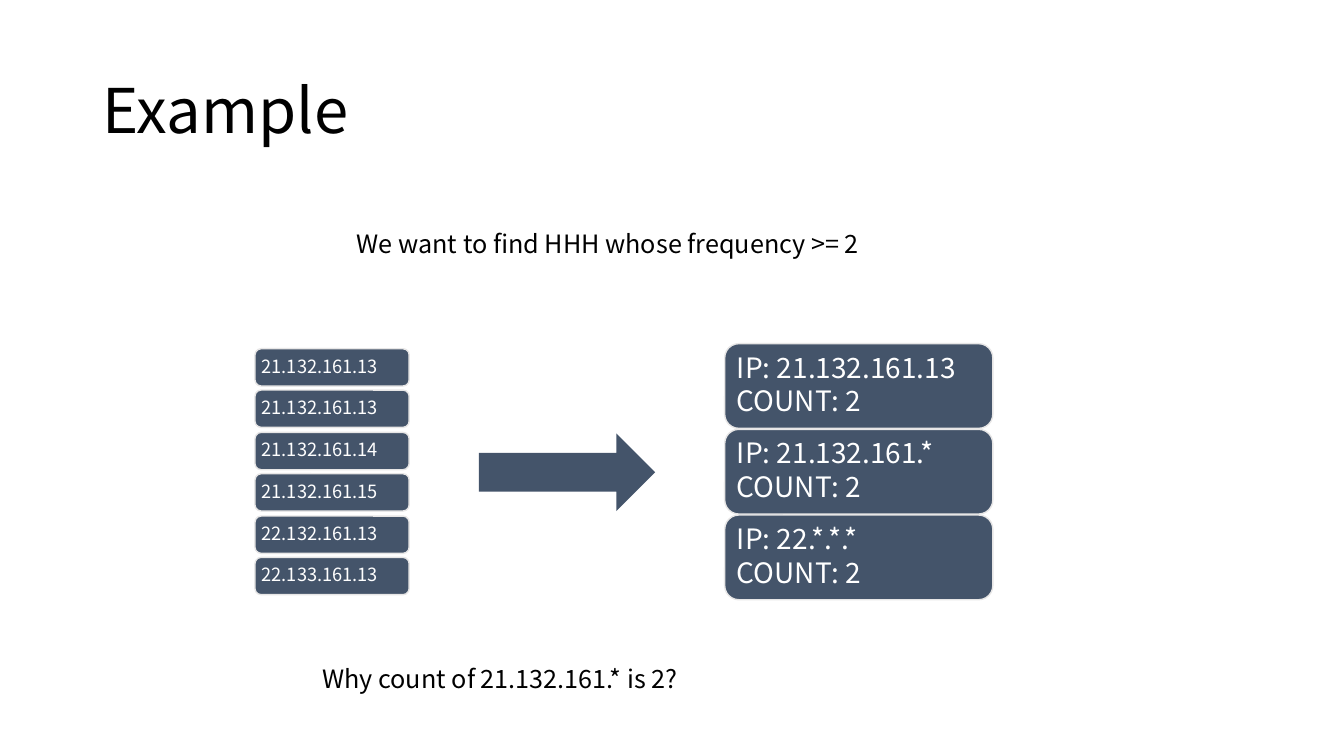
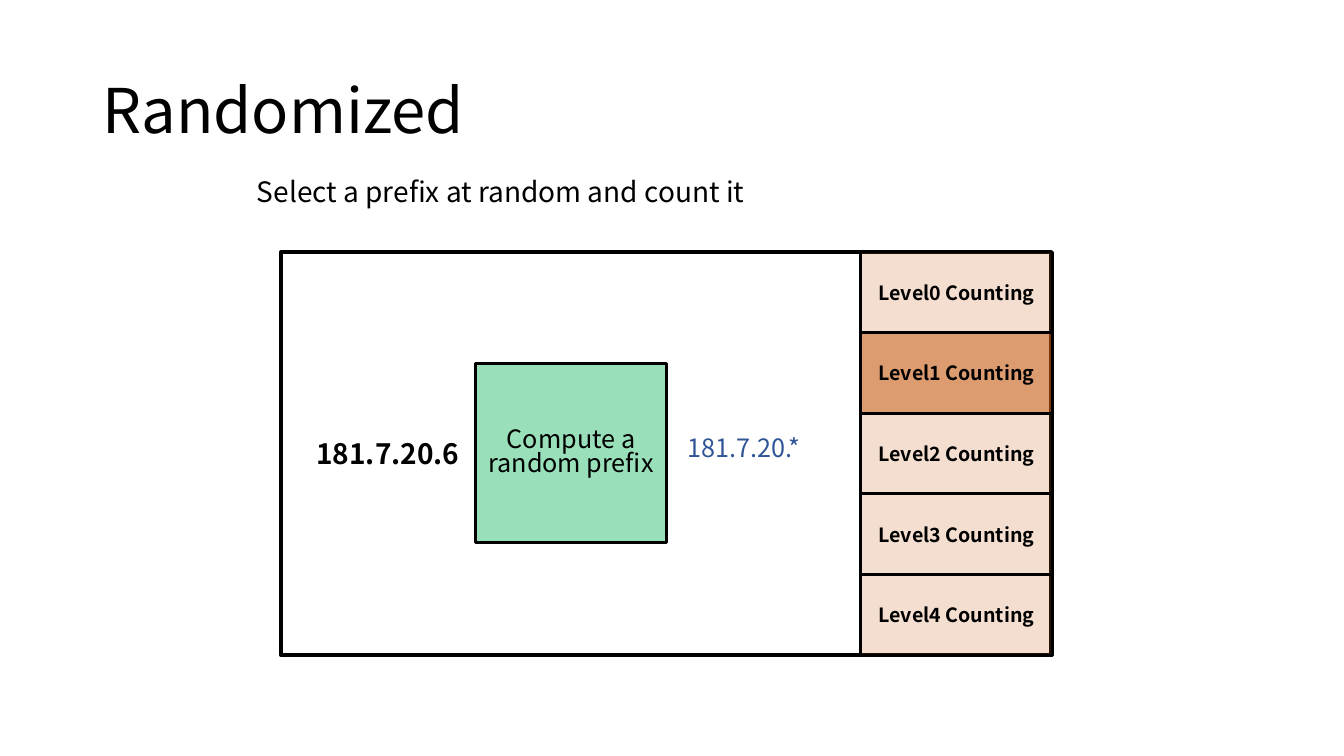
from lxml import etree
from pptx import Presentation
from pptx.dml.color import RGBColor
from pptx.enum.shapes import MSO_SHAPE
from pptx.enum.text import MSO_ANCHOR, PP_ALIGN
from pptx.oxml.ns import qn
from pptx.util import Pt

PX = 9144  # 100 px to the inch
FONT = "Noto Sans CJK SC"
BLACK = RGBColor(0x00, 0x00, 0x00)
WHITE = RGBColor(0xFF, 0xFF, 0xFF)
SLATE = RGBColor(0x44, 0x54, 0x6A)
PALE_GREY = RGBColor(0xE7, 0xE6, 0xE6)
GREEN = RGBColor(0x00, 0xB0, 0x50)
ORANGE = RGBColor(0xC5, 0x5A, 0x11)
BLUE = RGBColor(0x2F, 0x55, 0x97)

RECT, ROUNDED, ARROW = MSO_SHAPE.RECTANGLE, MSO_SHAPE.ROUNDED_RECTANGLE, MSO_SHAPE.RIGHT_ARROW
TOP, MIDDLE = MSO_ANCHOR.TOP, MSO_ANCHOR.MIDDLE
LEFT, CENTER = PP_ALIGN.LEFT, PP_ALIGN.CENTER


def add_text(slide, place, lines, size, color=BLACK, bold=False, anchor=TOP, align=LEFT,
             spacing=1.0, after=0, insets=(10, 5), shape=None):
    """Write lines into the given shape, or into a new text box at place."""
    if shape is None:
        shape = slide.shapes.add_textbox(*(n * PX for n in place))
    frame = shape.text_frame
    frame.word_wrap = True
    frame.vertical_anchor = anchor
    frame.margin_left = frame.margin_right = insets[0] * PX
    frame.margin_top = frame.margin_bottom = insets[1] * PX
    frame.text = "\n".join(lines)
    for paragraph in frame.paragraphs:
        paragraph.alignment = align
        paragraph.line_spacing = spacing
        paragraph.space_after = Pt(after)
        font = paragraph.font
        font.name, font.size, font.bold = FONT, Pt(size), bold
        font.color.rgb = color


def add_block(slide, kind, place, fill, line=None, width=0, opacity=100):
    shape = slide.shapes.add_shape(kind, *(n * PX for n in place))
    shape.shadow.inherit = False
    shape.fill.solid()
    shape.fill.fore_color.rgb = fill
    if opacity < 100:
        color = shape.fill._xPr.find(qn("a:solidFill"))[0]
        etree.SubElement(color, qn("a:alpha")).set("val", str(opacity * 1000))
    if line is None:
        shape.line.fill.background()
    else:
        shape.line.color.rgb = line
        shape.line.width = Pt(width)
    return shape


deck = Presentation()
deck.slide_width, deck.slide_height = 12192000, 750 * PX
slides = []
for title in ("Example", "Randomized"):
    slide = deck.slides.add_slide(deck.slide_layouts[6])
    add_text(slide, (92, 40, 1150, 145), [title], 44, anchor=MIDDLE, spacing=0.9)
    slides.append(slide)
example, randomized = slides

# Example: packets on the left, heavy hitters on the right
packets = ["21.132.161.13", "21.132.161.13", "21.132.161.14",
           "21.132.161.15", "22.132.161.13", "22.133.161.13"]
first_top, last_top = 346, 553
for i, address in enumerate(packets):
    top = round(first_top + (last_top - first_top) * i / (len(packets) - 1))
    place = (253, top, 153, 37)
    card = add_block(example, ROUNDED, place, SLATE, PALE_GREY, 1)
    add_text(example, place, [address], 13, WHITE, anchor=MIDDLE, spacing=0.9,
             insets=(5, 5), shape=card)

add_block(example, ARROW, (475, 430, 175, 77), SLATE)

for i, prefix in enumerate(["21.132.161.13", "21.132.161.*", "22.*.*.*"]):
    place = (719, 341 + 85 * i, 266, 84)
    card = add_block(example, ROUNDED, place, SLATE, PALE_GREY, 1)
    add_text(example, place, [f"IP: {prefix}", "COUNT: 2"], 20, WHITE, anchor=MIDDLE,
             spacing=0.9, after=2.5, insets=(8, 8), shape=card)

add_text(example, (344, 222, 589, 40), ["We want to find HHH whose frequency >= 2"], 18)
add_text(example, (310, 653, 657, 40), ["Why count of 21.132.161.* is 2?"], 18)

# Randomized: one address, one random prefix, one counter per level
add_block(randomized, RECT, (279, 250, 764, 400), WHITE, BLACK, 3)
place = (472, 361, 189, 177)
compute = add_block(randomized, RECT, place, GREEN, BLACK, 2, opacity=40)
add_text(randomized, place, ["Compute a random prefix"], 18, anchor=MIDDLE, align=CENTER,
         spacing=0.82, insets=(0, 5), shape=compute)

chosen_level = 1
for level in range(5):
    place = (854, 250 + 80 * level, 190, 80)
    counter = add_block(randomized, RECT, place, ORANGE, BLACK, 2,
                        opacity=60 if level == chosen_level else 20)
    add_text(randomized, place, [f"Level{level} Counting"], 14, bold=True, anchor=MIDDLE,
             align=CENTER, insets=(0, 5), shape=counter)

add_text(randomized, (304, 428, 211, 44), ["181.7.20.6"], 20, bold=True)
add_text(randomized, (672, 424, 211, 40), ["181.7.20.*"], 18, BLUE)
add_text(randomized, (245, 168, 922, 44), ["Select a prefix at random and count it"], 20)

deck.save("out.pptx")
